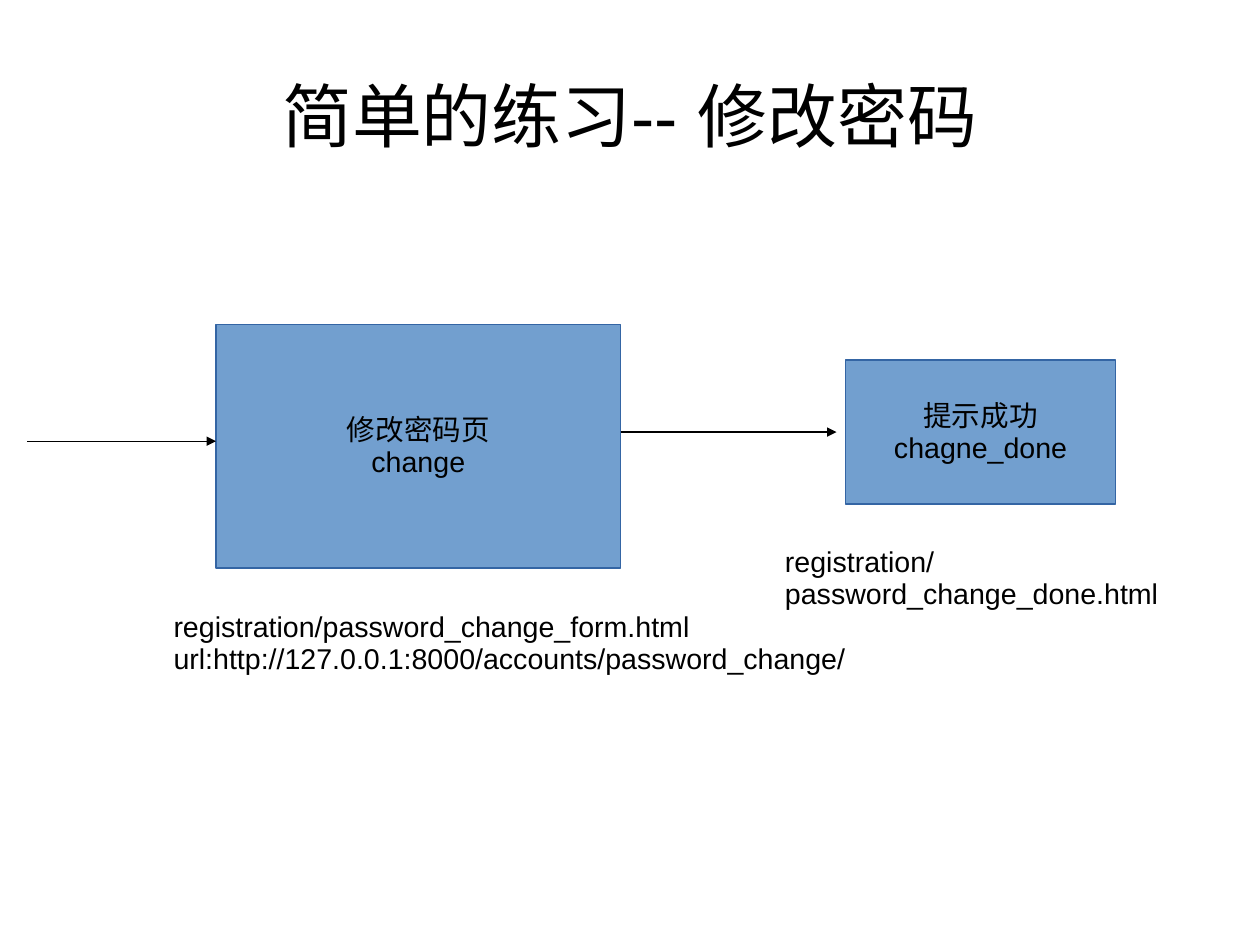
from dataclasses import dataclass

from lxml.etree import SubElement
from pptx import Presentation
from pptx.dml.color import RGBColor
from pptx.enum.shapes import MSO_CONNECTOR, MSO_SHAPE
from pptx.enum.text import MSO_ANCHOR, MSO_AUTO_SIZE, PP_ALIGN
from pptx.oxml.ns import qn
from pptx.slide import Slide
from pptx.text.text import TextFrame
from pptx.util import Emu, Pt

SLIDE_WIDTH = Emu(10080625)  # 28 by 21 cm page, 4:3
SLIDE_HEIGHT = Emu(7559675)
PX = 9144  # 100 px to the inch
FONT = "Arial"
BLACK = "000000"
PAGE_FILL = "729FCF"
PAGE_BORDER = "3465A4"
LINE_WIDTH = Pt(0.75)


@dataclass(frozen=True)
class Block:
    text: str
    left: int
    top: int
    width: int
    height: int


@dataclass(frozen=True)
class Arrow:
    start: int
    end: int
    y: int


TITLE = Block("简单的练习-- 修改密码", 55, 33, 992, 138)
PAGES = [
    Block("修改密码页\nchange", 189, 284, 354, 213),
    Block("提示成功\nchagne_done", 740, 315, 236, 126),
]
ARROWS = [Arrow(24, 189, 386), Arrow(543, 732, 378)]
CAPTIONS = [
    Block(
        "registration/password_change_form.html\n"
        "url:http://127.0.0.1:8000/accounts/password_change/",
        142, 529, 610, 66,
    ),
    Block("registration/password_change_done.html", 677, 472, 394, 66),
]


def px(length: int) -> Emu:
    return Emu(length * PX)


def color(value: str) -> RGBColor:
    return RGBColor.from_string(value)


def bounds(block: Block) -> tuple[Emu, Emu, Emu, Emu]:
    return px(block.left), px(block.top), px(block.width), px(block.height)


def write_text(
    frame: TextFrame,
    text: str,
    size: int,
    alignment: PP_ALIGN,
    anchor: MSO_ANCHOR,
    margins: tuple[int, int, int, int],
) -> None:
    """Fill and format a frame; margins are left, top, right, bottom."""
    frame.text = text
    frame.word_wrap = True
    frame.auto_size = MSO_AUTO_SIZE.NONE
    frame.vertical_anchor = anchor
    frame.margin_left, frame.margin_top, frame.margin_right, frame.margin_bottom = map(px, margins)
    for paragraph in frame.paragraphs:
        paragraph.alignment = alignment
        paragraph.line_spacing = 0.94
        for run in paragraph.runs:
            run.font.name = FONT
            run.font.size = Pt(size)
            run.font.color.rgb = color(BLACK)


def add_title(slide: Slide, block: Block) -> None:
    shape = slide.shapes.title
    shape.left, shape.top, shape.width, shape.height = bounds(block)
    write_text(shape.text_frame, block.text, 44, PP_ALIGN.CENTER, MSO_ANCHOR.MIDDLE, (0, 4, 0, 0))


def add_page(slide: Slide, block: Block) -> None:
    shape = slide.shapes.add_shape(MSO_SHAPE.RECTANGLE, *bounds(block))
    shape.shadow.inherit = False
    shape.fill.solid()
    shape.fill.fore_color.rgb = color(PAGE_FILL)
    shape.line.color.rgb = color(PAGE_BORDER)
    shape.line.width = LINE_WIDTH
    write_text(shape.text_frame, block.text, 18, PP_ALIGN.CENTER, MSO_ANCHOR.MIDDLE, (10, 6, 10, 5))


def add_arrow(slide: Slide, arrow: Arrow) -> None:
    y = px(arrow.y)
    connector = slide.shapes.add_connector(
        MSO_CONNECTOR.STRAIGHT, px(arrow.start), y, px(arrow.end), y
    )
    connector.line.color.rgb = color(BLACK)
    connector.line.width = LINE_WIDTH
    properties = connector._element.spPr
    SubElement(properties.find(qn("a:ln")), qn("a:tailEnd"), type="triangle")
    SubElement(properties, qn("a:effectLst"))


def add_caption(slide: Slide, block: Block) -> None:
    shape = slide.shapes.add_textbox(*bounds(block))
    write_text(shape.text_frame, block.text, 18, PP_ALIGN.LEFT, MSO_ANCHOR.TOP, (10, 6, 10, 5))


def main() -> None:
    presentation = Presentation()
    presentation.slide_width = SLIDE_WIDTH
    presentation.slide_height = SLIDE_HEIGHT
    title_only = presentation.slide_layouts.get_by_name("Title Only")
    slide = presentation.slides.add_slide(title_only)

    add_title(slide, TITLE)
    for page in PAGES:
        add_page(slide, page)
    for arrow in ARROWS:
        add_arrow(slide, arrow)
    for caption in CAPTIONS:
        add_caption(slide, caption)

    presentation.save("out.pptx")


if __name__ == "__main__":
    main()
